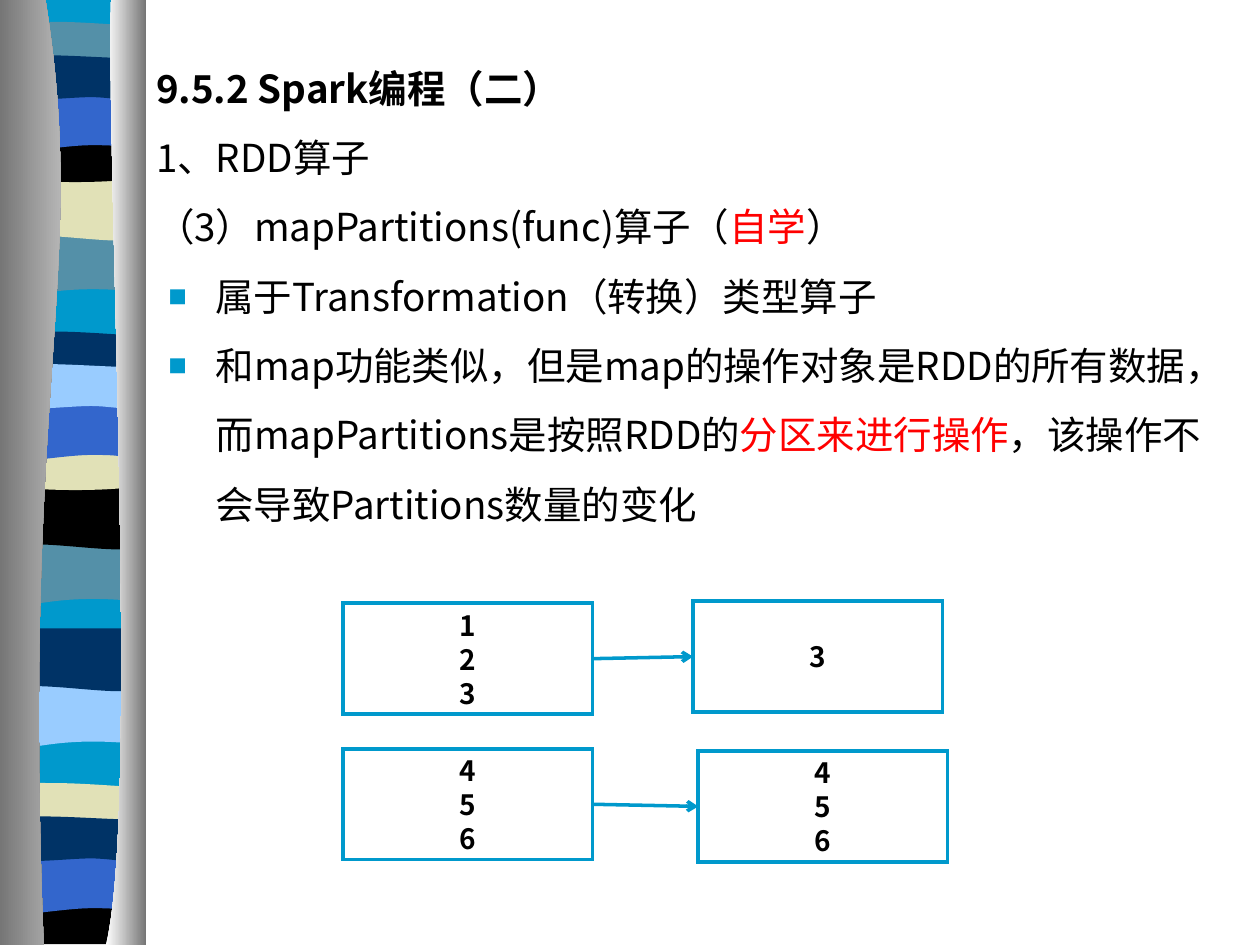
import pptx
import pptx.dml.color
import pptx.enum.shapes
import pptx.enum.text
import pptx.oxml
import pptx.oxml.ns
import pptx.util

Pt = pptx.util.Pt
FONT = "Noto Sans CJK SC"
COLORS = {
    "sky": "0099CC", "teal": "5490A8", "sand": "E1E1B7", "black": "000000",
    "blue": "3366CC", "navy": "003366", "pale": "99CCFF", "white": "FFFFFF",
    "red": "FF0000", "shade": "767676", "glow": "D4D4D4",
}

# Two numbers are a corner; six are the control points and end of a curve.
BANDS = {
    "swell": [(78, 0), (78, 34), (24, 28, 13, 40, 0, 34), (0, 0)],
    "dip": [(78, 0), (78, 34), (65, 40, 24, 30, 0, 34), (0, 0)],
    "arch": [(78, 3.6), (78, 21), (65, 24, 13, 24, 0, 21), (0, 3.6),
             (4, 0, 17, 1, 30, 1), (42, 1, 68, 3, 78, 3.6)],
    "bowl": [(78, 0), (78, 23), (65, 27, 13, 27, 0, 23), (0, 0),
             (48, 3.6, 61, 0, 78, 0)],
    "hill": [(78, 0), (78, 34), (66, 30, 60, 30, 48, 30),
             (35, 30, 12, 34, 0, 34), (0, 0)],
    "flag": [(78, 3.6), (78, 26), (73, 29.5, 60, 26, 48, 26),
             (35, 26, 8, 29.5, 0, 26), (0, 3.6), (11, 0, 53, 3.6, 66, 3.6),
             (79, 3.6, 75, 3.6, 78, 3.6)],
    "floor": [(78, 0), (78, 27), (0, 27), (0, 0), (48, 3.6, 61, 0, 78, 0)],
}
RIBBON = [
    ("swell", 133, "teal"), ("dip", 101.5, "sand"), ("arch", 11.5, "teal"),
    ("bowl", 78, "black"), ("hill", 53, "blue"), ("flag", 29.5, "navy"),
    ("swell", 310, "teal"), ("dip", 278, "black"), ("arch", 188.5, "navy"),
    ("bowl", 254, "sand"), ("hill", 230, "blue"), ("flag", 206, "pale"),
    ("swell", 391.5, "pale"), ("dip", 359, "navy"), ("arch", 446.5, "sand"),
    ("floor", 512.5, "black"), ("hill", 489, "blue"), ("flag", 464.5, "navy"),
]
LEFT_FOLD = [(26, 0), (51, 156, 12, 213, 25, 540), (0, 540), (0, 0)]
RIGHT_FOLD = [(63.5, 0), (60.5, 90, 80, 465, 60.5, 540), (83.5, 540), (83.5, 0)]

BODY = [
    (False, True, [("9.5.2 Spark编程（二）", "black")]),
    (False, False, [("1、RDD算子", "black")]),
    (False, False, [("（3）mapPartitions(func)算子（", "black"), ("自学", "red"),
                    ("）", "black")]),
    (True, False, [("属于Transformation（转换）类型算子", "black")]),
    (True, False, [("和map功能类似，但是map的操作对象是RDD的所有数据，"
                    "而mapPartitions是按照RDD的", "black"),
                   ("分区来进行操作", "red"),
                   ("，该操作不会导致Partitions数量的变化", "black")]),
]
FLOWS = [
    ((0, 1.2), "123", (200, 0), "3"),
    ((0, 84.4), "456", (203, 85.6), "456"),
]


def rgb(name):
    """Return the named colour."""
    return pptx.dml.color.RGBColor.from_string(COLORS[name])


def add_xml(parent, tag, **attrs):
    """Append a drawing element with attributes to a parent."""
    el = pptx.oxml.parse_xml(f"<a:{tag} {pptx.oxml.ns.nsdecls('a')}/>")
    for key, value in attrs.items():
        el.set(key, value)
    parent.append(el)
    return el


def style_run(r, size, color, bold):
    """Set the font of a run for Latin and Chinese text."""
    r.font.size, r.font.bold, r.font.name = Pt(size), bold, FONT
    r.font.color.rgb = rgb(color)
    add_xml(r._r.get_or_add_rPr(), "ea", typeface=FONT)


def bend(sp, outline):
    """Merge the three segments of each curve into one cubic segment."""
    segments = iter(sp._element.findall(".//" + pptx.oxml.ns.qn("a:lnTo")))
    for part in outline[1:]:
        group = [next(segments) for _ in range(len(part) // 2)]
        if len(group) == 3:
            curve = add_xml(group[0].getparent(), "cubicBezTo")
            group[0].addprevious(curve)
            for segment in group:
                curve.append(segment[0])
                segment.getparent().remove(segment)


def add_outline(slide, left, top, outline, colors):
    """Draw an outline with a flat fill or a left-to-right gradient."""
    points = [(Pt(left + x), Pt(top + y))
              for part in outline for x, y in zip(part[::2], part[1::2])]
    builder = slide.shapes.build_freeform(*points[0])
    builder.add_line_segments(points[1:], close=True)
    sp = builder.convert_to_shape()
    bend(sp, outline)
    sp.shadow.inherit = False
    sp.line.fill.background()
    if len(colors) == 1:
        sp.fill.solid()
        sp.fill.fore_color.rgb = rgb(colors[0])
    else:
        sp.fill.gradient()
        sp.fill.gradient_angle = 0
        for stop, color, position in zip(sp.fill.gradient_stops, colors, (0, 1)):
            stop.color.rgb, stop.position = rgb(color), position


def add_ribbon(slide, left, top, height):
    """Draw the striped ribbon between its two shaded folds."""
    base = [(82, 0), (82, height), (4, height), (4, 0)]
    add_outline(slide, left, top, base, ["sky"])
    for band, y, color in RIBBON:
        add_outline(slide, left + 4, top + y, BANDS[band], [color])
    add_outline(slide, left, top, LEFT_FOLD, ["shade", "glow"])
    add_outline(slide, left, top, RIGHT_FOLD, ["white", "shade"])


def add_body(slide, left, top, width, height):
    """Fill the body placeholder with the heading, lines and bullets."""
    sp = slide.placeholders[1]
    sp.left, sp.top, sp.width, sp.height = Pt(left), Pt(top), Pt(width), Pt(height)
    tf = sp.text_frame
    tf.word_wrap = True
    tf.auto_size = pptx.enum.text.MSO_AUTO_SIZE.NONE
    tf.vertical_anchor = pptx.enum.text.MSO_ANCHOR.TOP
    for i, (bulleted, bold, runs) in enumerate(BODY):
        p = tf.paragraphs[0] if i == 0 else tf.add_paragraph()
        p.line_spacing, p.space_before = Pt(39.6), Pt(0)
        pPr = p._p.get_or_add_pPr()
        pPr.set("marL", str(Pt(34 if bulleted else 0)))
        pPr.set("indent", str(Pt(-27 if bulleted else 0)))
        if bulleted:
            add_xml(add_xml(pPr, "buClr"), "srgbClr", val=COLORS["sky"])
            add_xml(pPr, "buSzPct", val="80000")
            add_xml(pPr, "buFont", typeface="Arial")
            add_xml(pPr, "buChar", char="■")
        else:
            add_xml(pPr, "buNone")
        for text, color in runs:
            r = p.add_run()
            r.text = text
            style_run(r, 22, color, bold)


def add_partition(slide, left, top, width, height, values):
    """Draw a box that lists one value on each line."""
    sp = slide.shapes.add_shape(pptx.enum.shapes.MSO_SHAPE.RECTANGLE,
                                Pt(left), Pt(top), Pt(width), Pt(height))
    sp.shadow.inherit = False
    sp.fill.solid()
    sp.fill.fore_color.rgb = rgb("white")
    sp.line.color.rgb, sp.line.width = rgb("sky"), Pt(2)
    add_xml(sp.line._get_or_add_ln(), "miter", lim="800000")
    tf = sp.text_frame
    tf.vertical_anchor = pptx.enum.text.MSO_ANCHOR.MIDDLE
    tf.text = "\n".join(values)
    for p in tf.paragraphs:
        p.alignment = pptx.enum.text.PP_ALIGN.CENTER
        p.line_spacing = Pt(19.4)
        style_run(p.runs[0], 16, "black", True)
    return sp


def add_arrow(slide, source, target):
    """Connect the right side of one box to the left side of another."""
    line = slide.shapes.add_connector(pptx.enum.shapes.MSO_CONNECTOR.STRAIGHT, 0, 0, 0, 0)
    line.begin_connect(source, 3)
    line.end_connect(target, 1)
    line.line.color.rgb, line.line.width = rgb("sky"), Pt(2)
    add_xml(line.line._get_or_add_ln(), "tailEnd", type="arrow")
    add_xml(line._element.spPr, "effectLst")


def add_flows(slide, left, top, box_width, box_height):
    """Draw each partition before and after the operation."""
    for (x1, y1), before, (x2, y2), after in FLOWS:
        source = add_partition(slide, left + x1, top + y1, box_width, box_height, before)
        target = add_partition(slide, left + x2, top + y2, box_width, box_height, after)
        add_arrow(slide, source, target)


def main():
    """Build and save the slide."""
    prs = pptx.Presentation()
    prs.slide_width, prs.slide_height = Pt(720), Pt(540)
    slide = prs.slides.add_slide(prs.slide_layouts[1])
    title = slide.shapes.title._element
    title.getparent().remove(title)
    add_ribbon(slide, 0, 0, 538)
    add_body(slide, 82, 20.2, 623.5, 323)
    add_flows(slide, 196, 343.5, 142.5, 63.4)
    prs.save("out.pptx")


if __name__ == "__main__":
    main()
